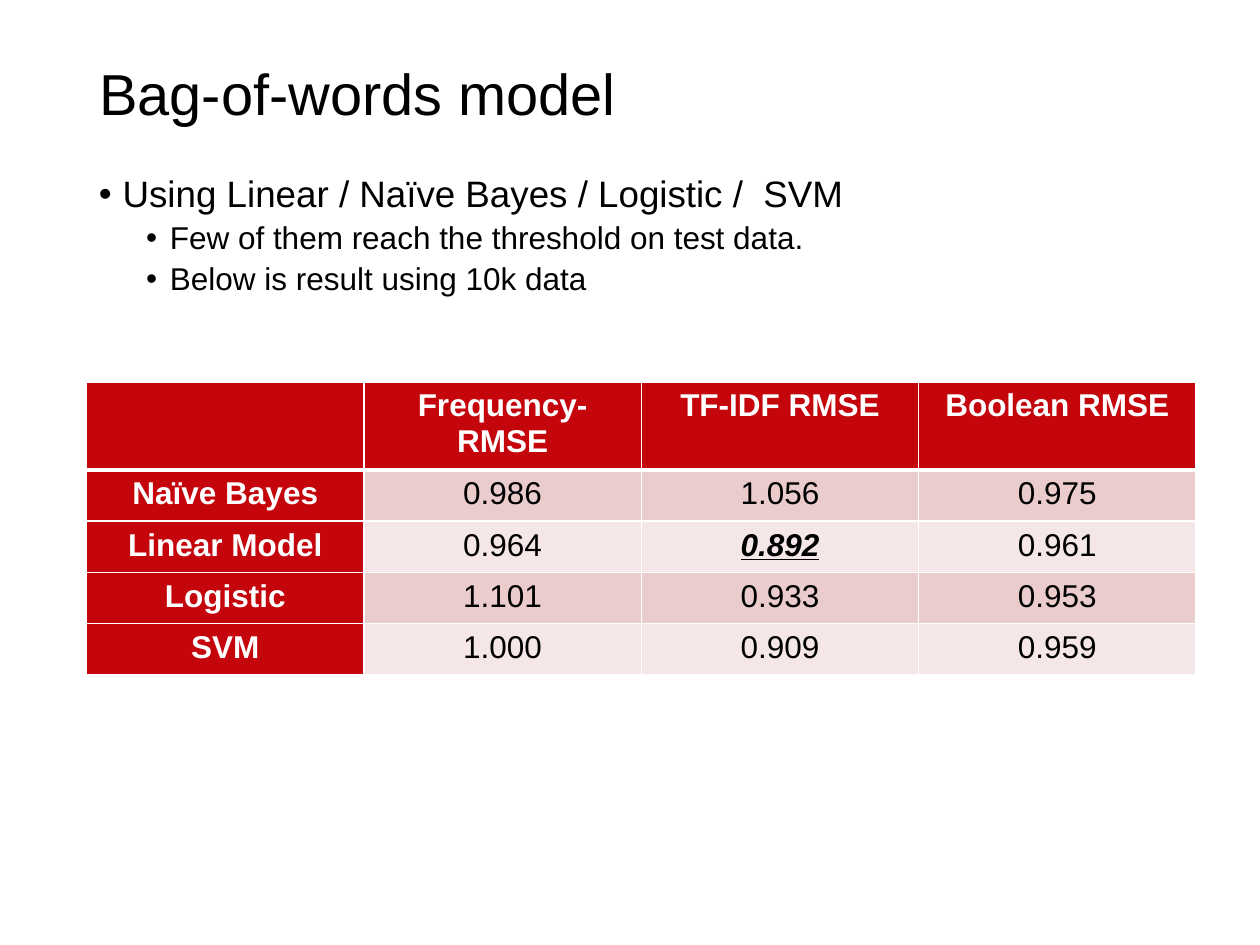
from lxml import etree
from pptx import Presentation
from pptx.dml.color import RGBColor
from pptx.enum.text import MSO_ANCHOR, PP_ALIGN
from pptx.oxml.ns import qn
from pptx.util import Pt

LEFT, CENTER = PP_ALIGN.LEFT, PP_ALIGN.CENTER
MIDDLE, TOP = MSO_ANCHOR.MIDDLE, MSO_ANCHOR.TOP
FONT = "Arial"
COLORS = {
    "black": "000000",
    "white": "FFFFFF",
    "red": "C5050C",
    "dark_band": "EACCCC",
    "light_band": "F5E7E7",
}
MARGIN = 49.5
BODY_WIDTH = 621
COLUMN_WIDTH = 158.5
ROW_HEIGHT = 29.2
BULLETS = [
    (0, "Using Linear / Naïve Bayes / Logistic /  SVM"),
    (1, "Few of them reach the threshold on test data."),
    (1, "Below is result using 10k data"),
]
LEVELS = [
    {"size": 21, "margin": 13.5, "before": 7.5},
    {"size": 18, "margin": 40.5, "before": 3.8},
]
RESULTS = [
    ["", "Frequency-RMSE", "TF-IDF RMSE", "Boolean RMSE"],
    ["Naïve Bayes", "0.986", "1.056", "0.975"],
    ["Linear Model", "0.964", "0.892", "0.961"],
    ["Logistic", "1.101", "0.933", "0.953"],
    ["SVM", "1.000", "0.909", "0.959"],
]
BEST_RESULT = "0.892"


def rgb(name):
    return RGBColor.from_string(COLORS[name])


def format_font(paragraph, size, color="black", bold=False):
    font = paragraph.font
    font.name = FONT
    font.size = Pt(size)
    font.bold = bold
    font.color.rgb = rgb(color)


def add_title(slide, text):
    title = slide.shapes.title
    title.left, title.top = Pt(MARGIN), Pt(28.8)
    title.width, title.height = Pt(BODY_WIDTH), Pt(52.5)
    title.text_frame.text = text
    title.text_frame.vertical_anchor = MIDDLE
    paragraph = title.text_frame.paragraphs[0]
    paragraph.alignment = LEFT
    paragraph.line_spacing = 0.9
    format_font(paragraph, 33)


def add_bullets(slide, items):
    box = slide.shapes.add_textbox(Pt(MARGIN), Pt(97.2), Pt(BODY_WIDTH), Pt(388))
    frame = box.text_frame
    frame.word_wrap = True
    frame.vertical_anchor = TOP
    for index, (level, text) in enumerate(items):
        style = LEVELS[level]
        paragraph = frame.add_paragraph() if index else frame.paragraphs[0]
        paragraph.text = text
        paragraph.level = level
        paragraph.line_spacing = 0.9
        paragraph.space_before = Pt(style["before"] if index else 0)
        properties = paragraph._p.get_or_add_pPr()
        properties.set("marL", str(Pt(style["margin"])))
        properties.set("indent", str(Pt(-13.5)))
        etree.SubElement(properties, qn("a:buFont")).set("typeface", FONT)
        etree.SubElement(properties, qn("a:buChar")).set("char", "•")
        format_font(paragraph, style["size"])


def add_borders(cell, row):
    properties = cell._tc.get_or_add_tcPr()
    widths = {"L": 1, "R": 1, "T": 3 if row == 1 else 1, "B": 3 if row == 0 else 1}
    for side, width in widths.items():
        line = etree.SubElement(properties, qn(f"a:ln{side}"), w=str(Pt(width)))
        fill = etree.SubElement(line, qn("a:solidFill"))
        etree.SubElement(fill, qn("a:srgbClr"), val=COLORS["white"])


def format_cell(cell, text, row, column):
    is_heading = row == 0 or column == 0
    is_best = text == BEST_RESULT
    band = "dark_band" if row % 2 else "light_band"
    add_borders(cell, row)
    cell.fill.solid()
    cell.fill.fore_color.rgb = rgb("red" if is_heading else band)
    cell.text = text
    paragraph = cell.text_frame.paragraphs[0]
    paragraph.alignment = CENTER
    format_font(paragraph, 18, "white" if is_heading else "black", is_heading or is_best)
    if is_best:
        paragraph.font.italic = True
        paragraph.font.underline = True


def add_results_table(slide, rows):
    row_count, column_count = len(rows), len(rows[0])
    table = slide.shapes.add_table(
        row_count, column_count, Pt(MARGIN), Pt(218.2),
        Pt(COLUMN_WIDTH * column_count), Pt(ROW_HEIGHT * row_count),
    ).table
    for column in table.columns:
        column.width = Pt(COLUMN_WIDTH)
    for row in table.rows:
        row.height = Pt(ROW_HEIGHT)
    for row_index, values in enumerate(rows):
        for column_index, text in enumerate(values):
            format_cell(table.cell(row_index, column_index), text, row_index, column_index)


def main():
    presentation = Presentation()
    presentation.slide_width, presentation.slide_height = Pt(720), Pt(540)
    slide = presentation.slides.add_slide(presentation.slide_layouts[5])
    add_title(slide, "Bag-of-words model")
    add_bullets(slide, BULLETS)
    add_results_table(slide, RESULTS)
    presentation.save("out.pptx")


if __name__ == "__main__":
    main()
